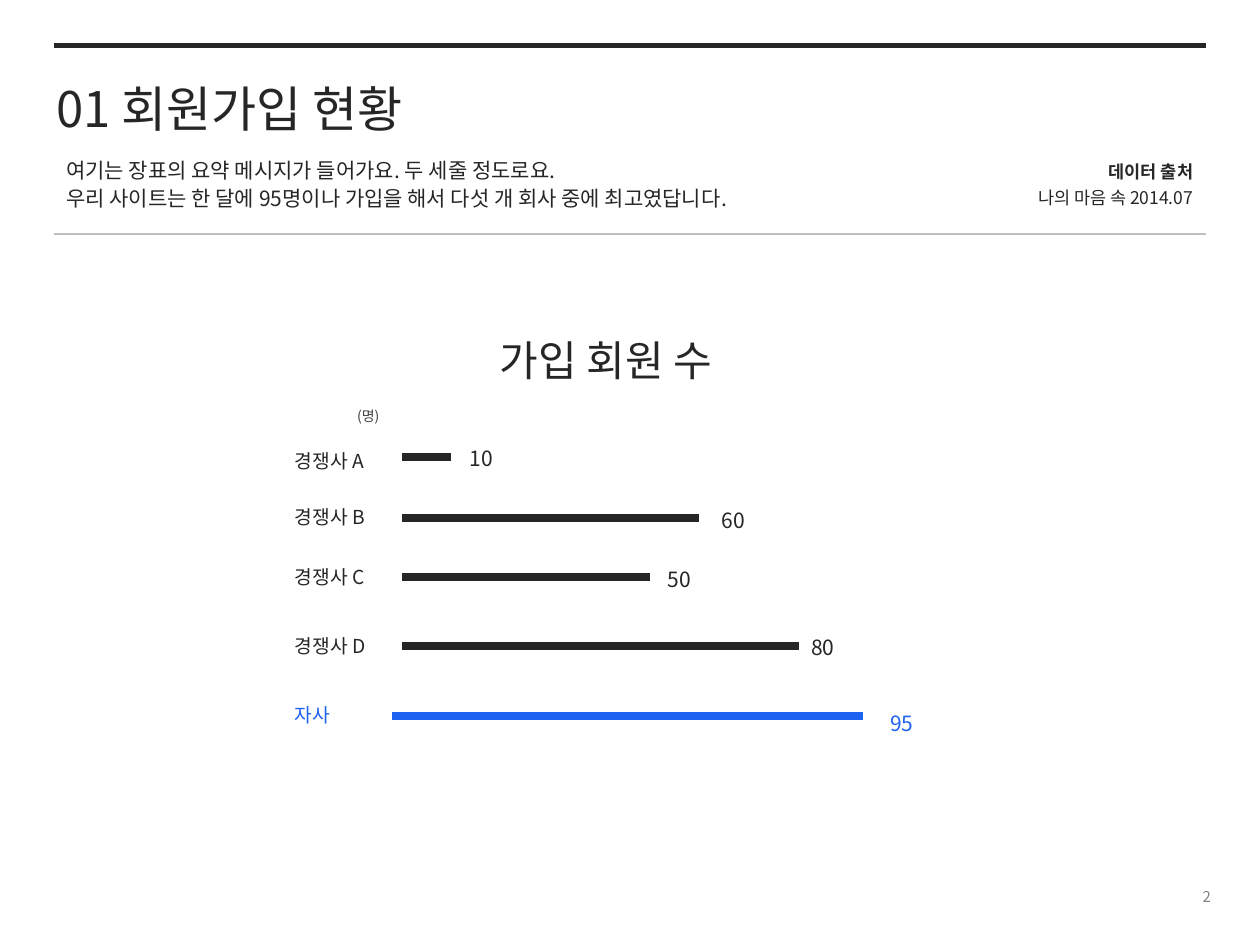
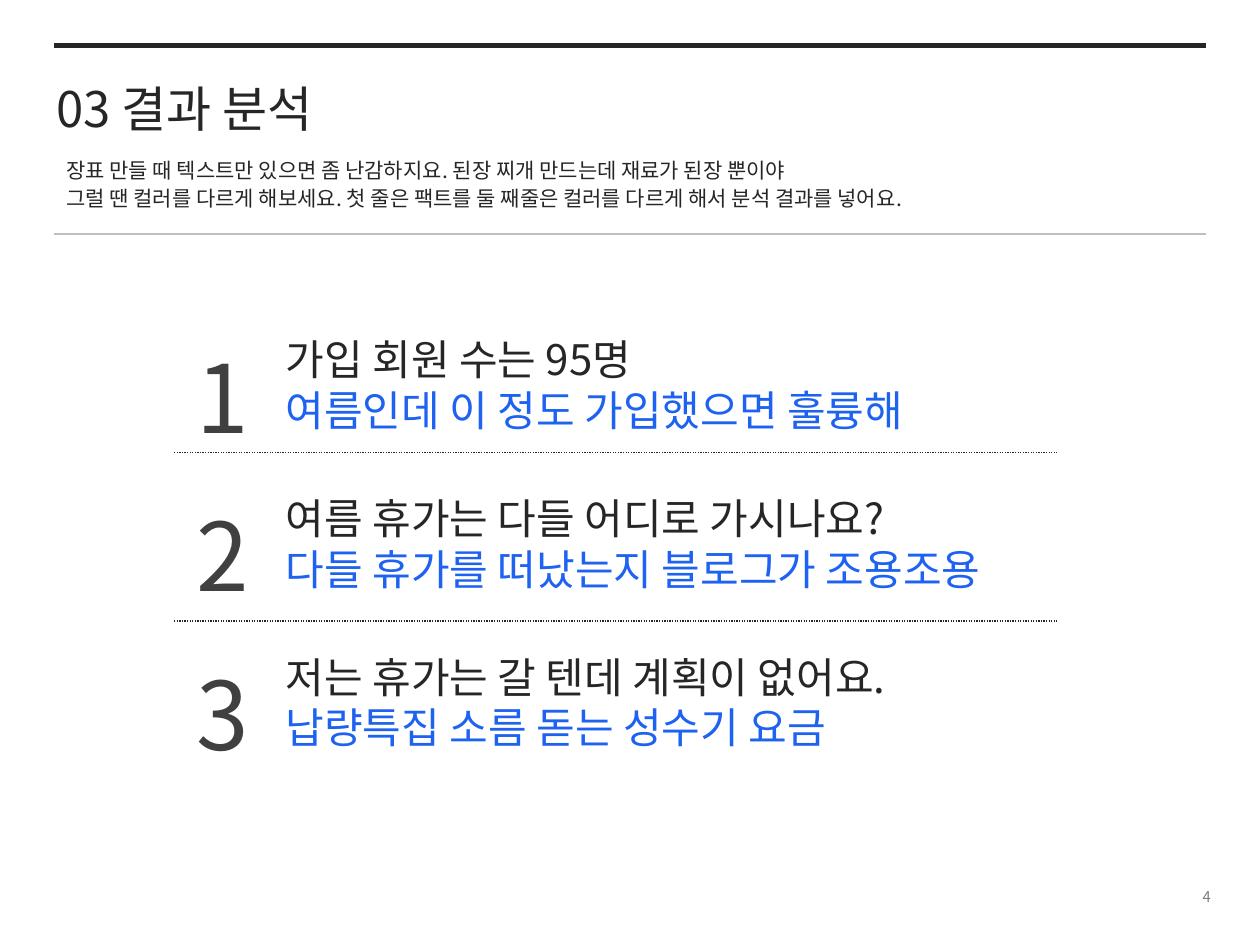
import lxml.etree
import pptx
import pptx.dml.color
import pptx.enum.dml
import pptx.enum.shapes
import pptx.enum.text
import pptx.oxml.ns
import pptx.util

Cm = pptx.util.Cm
Pt = pptx.util.Pt
RGBColor = pptx.dml.color.RGBColor
ALIGN = pptx.enum.text.PP_ALIGN
ANCHOR = pptx.enum.text.MSO_ANCHOR

INK = RGBColor(0x26, 0x26, 0x26)
DARK_GRAY = RGBColor(0x40, 0x40, 0x40)
PAGE_GRAY = RGBColor(0x80, 0x80, 0x80)
RULE_GRAY = RGBColor(0xBF, 0xBF, 0xBF)
BLUE = RGBColor(0x1D, 0x62, 0xF0)

FONT = "Noto Sans CJK KR"
LEADING = 1.2
TOP_SHIFT = 0.09
RULE_LEFT, RULE_RIGHT = 1.09, 24.31
CM_PER_MEMBER = 0.1

MEMBERS = [
    {"name": "경쟁사 A", "count": 10, "color": INK, "start": 8.1,
     "bar_y": 9.22, "label_y": 8.89, "value_at": (9.22, 8.81)},
    {"name": "경쟁사 B", "count": 60, "color": INK, "start": 8.1,
     "bar_y": 10.44, "label_y": 10.03, "value_at": (14.3, 10.06)},
    {"name": "경쟁사 C", "count": 50, "color": INK, "start": 8.1,
     "bar_y": 11.63, "label_y": 11.23, "value_at": (13.21, 11.25)},
    {"name": "경쟁사 D", "count": 80, "color": INK, "start": 8.1,
     "bar_y": 13.03, "label_y": 12.62, "value_at": (16.1, 12.62)},
    {"name": "자사", "count": 95, "color": BLUE, "start": 7.9,
     "bar_y": 14.43, "label_y": 14.02, "value_at": (17.7, 14.15)},
]

FINDINGS = [
    ("가입 회원 수는 95명", "여름인데 이 정도 가입했으면 훌륭해"),
    ("여름 휴가는 다들 어디로 가시나요?", "다들 휴가를 떠났는지 블로그가 조용조용"),
    ("저는 휴가는 갈 텐데 계획이 없어요.", "납량특집 소름 돋는 성수기 요금"),
]


def set_attributes(target, values):
    for name, value in values.items():
        setattr(target, name, value)


def add_span(para, text, size, color, bold):
    span = para.add_run()
    span.text = text
    set_attributes(span.font, {"name": FONT, "size": Pt(size), "bold": bold})
    span.font.color.rgb = color
    properties = span.font._element if hasattr(span.font, "_element") else span._r.get_or_add_rPr()
    east_asian = lxml.etree.SubElement(properties, pptx.oxml.ns.qn("a:ea"))
    east_asian.set("typeface", FONT)


def add_text(page, area, lines, size, color=INK, align=ALIGN.LEFT,
             anchor=ANCHOR.TOP, leading=None):
    box = page.shapes.add_textbox(*[Cm(length) for length in area])
    frame = box.text_frame
    set_attributes(frame, {"word_wrap": True, "vertical_anchor": anchor})
    if leading is None and anchor == ANCHOR.TOP:
        frame.margin_top = Pt(3.6 + TOP_SHIFT * size)
    for index, line in enumerate(lines):
        para = frame.paragraphs[0] if index == 0 else frame.add_paragraph()
        set_attributes(para, {"alignment": align,
                              "line_spacing": Pt(leading or LEADING * size)})
        style = {"text": line} if isinstance(line, str) else line
        add_span(para, style["text"], size, style.get("color", color),
                 style.get("bold", False))


def add_line(page, left, right, y, color, width, dash=None):
    line = page.shapes.add_connector(pptx.enum.shapes.MSO_CONNECTOR.STRAIGHT,
                                     Cm(left), Cm(y), Cm(right), Cm(y))
    line.line.color.rgb = color
    set_attributes(line.line, {"width": Pt(width), "dash_style": dash})
    lxml.etree.SubElement(line.element.spPr, pptx.oxml.ns.qn("a:effectLst"))


def add_page(deck, number, title, summary):
    page = deck.slides.add_slide(deck.slide_layouts[6])
    add_text(page, (19.3, 17.73, 5.36, 0.69), [number], 8.5, PAGE_GRAY,
             ALIGN.RIGHT, ANCHOR.MIDDLE)
    add_text(page, (0.89, 1.37, 19.2, 1.45), [title], 28)
    add_text(page, (1.09, 3, 19.2, 1.4), summary, 12, leading=16)
    add_line(page, RULE_LEFT, RULE_RIGHT, 4.72, RULE_GRAY, 0.75)
    add_line(page, RULE_LEFT, RULE_RIGHT, 0.91, INK, 3)
    return page


def add_member_bar(page, member):
    start, color = member["start"], member["color"]
    end = start + member["count"] * CM_PER_MEMBER
    add_line(page, start, end, member["bar_y"], color, 4.5)
    add_text(page, (5.69, member["label_y"], 2.39, 0.74), [member["name"]], 11, color)
    add_text(page, (*member["value_at"], 3.61, 0.76), [str(member["count"])], 12, color)


def add_finding(page, number, fact, analysis):
    top = 6.53 + (number - 1) * 3.2
    add_text(page, (3.71, top, 1.19, 2.57), [str(number)], 54, DARK_GRAY)
    add_text(page, (5.51, top, 15.8, 2.31),
             [fact, {"text": analysis, "color": BLUE}], 24)


def build_signup_page(deck):
    page = add_page(deck, "2", "01 회원가입 현황", [
        "여기는 장표의 요약 메시지가 들어가요. 두 세줄 정도로요.",
        "우리 사이트는 한 달에 95명이나 가입을 해서 다섯 개 회사 중에 최고였답니다.",
    ])
    add_text(page, (16.1, 3.02, 8.2, 1.3),
             [{"text": "데이터 출처", "bold": True}, "나의 마음 속 2014.07"],
             10, align=ALIGN.RIGHT, leading=15)
    add_text(page, (5.51, 6.55, 13.41, 1.27), ["가입 회원 수"], 24, align=ALIGN.CENTER)
    add_text(page, (5.89, 7.92, 2.01, 0.74), ["(명)"], 8, DARK_GRAY,
             ALIGN.RIGHT, ANCHOR.MIDDLE, 15)
    for member in MEMBERS:
        add_member_bar(page, member)


def build_analysis_page(deck):
    page = add_page(deck, "4", "03 결과 분석", [
        "장표 만들 때 텍스트만 있으면 좀 난감하지요. 된장 찌개 만드는데 재료가 된장 뿐이야",
        "그럴 땐 컬러를 다르게 해보세요. 첫 줄은 팩트를 둘 째줄은 컬러를 다르게 해서 분석 결과를 넣어요.",
    ])
    for number, (fact, analysis) in enumerate(FINDINGS, 1):
        add_finding(page, number, fact, analysis)
    for y in (9.12, 12.52):
        add_line(page, 3.51, 21.31, y, INK, 0.75, pptx.enum.dml.MSO_LINE.ROUND_DOT)


def main():
    deck = pptx.Presentation()
    set_attributes(deck, {"slide_width": Cm(25.4), "slide_height": Cm(19.05)})
    build_signup_page(deck)
    build_analysis_page(deck)
    deck.save("out.pptx")


main()
